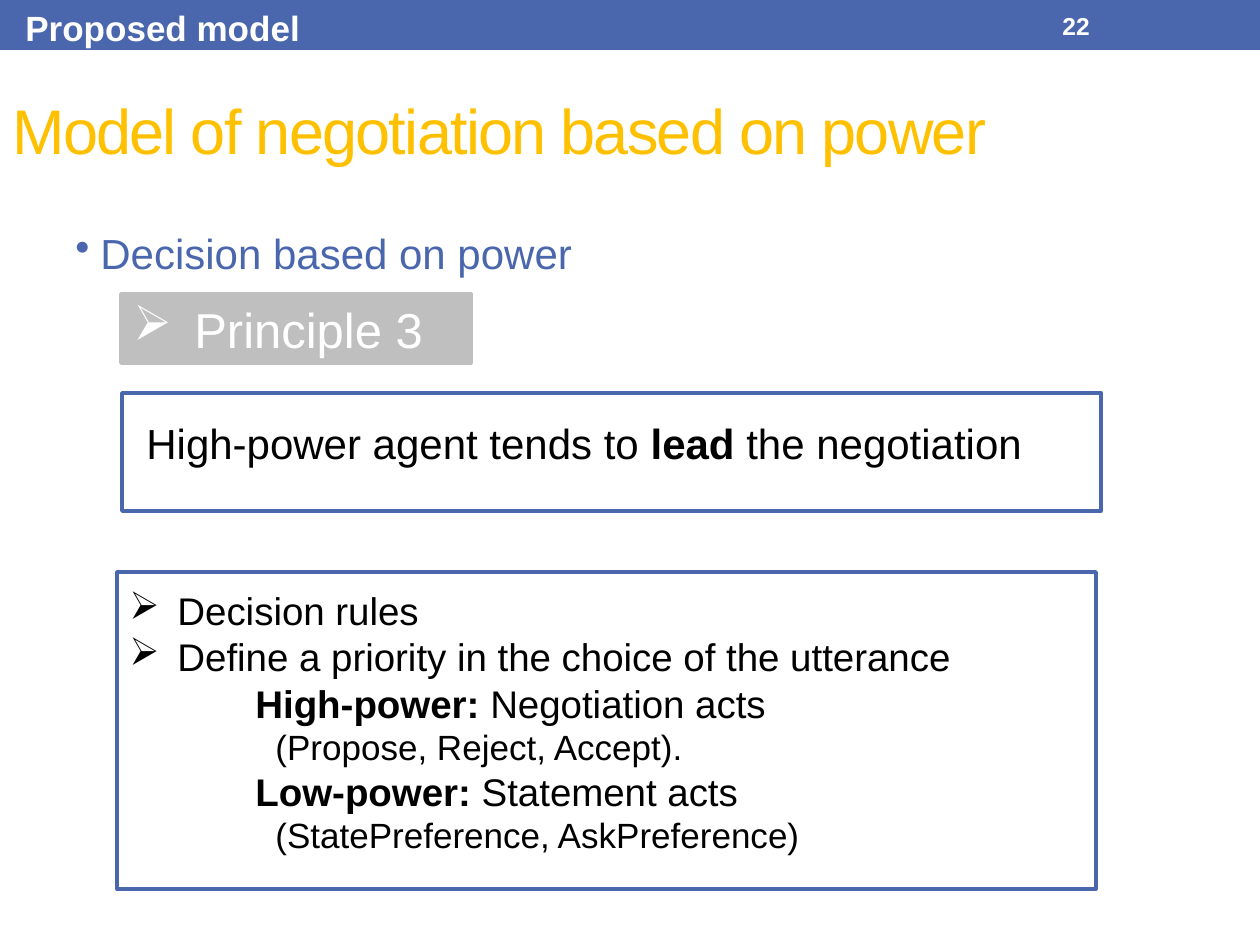
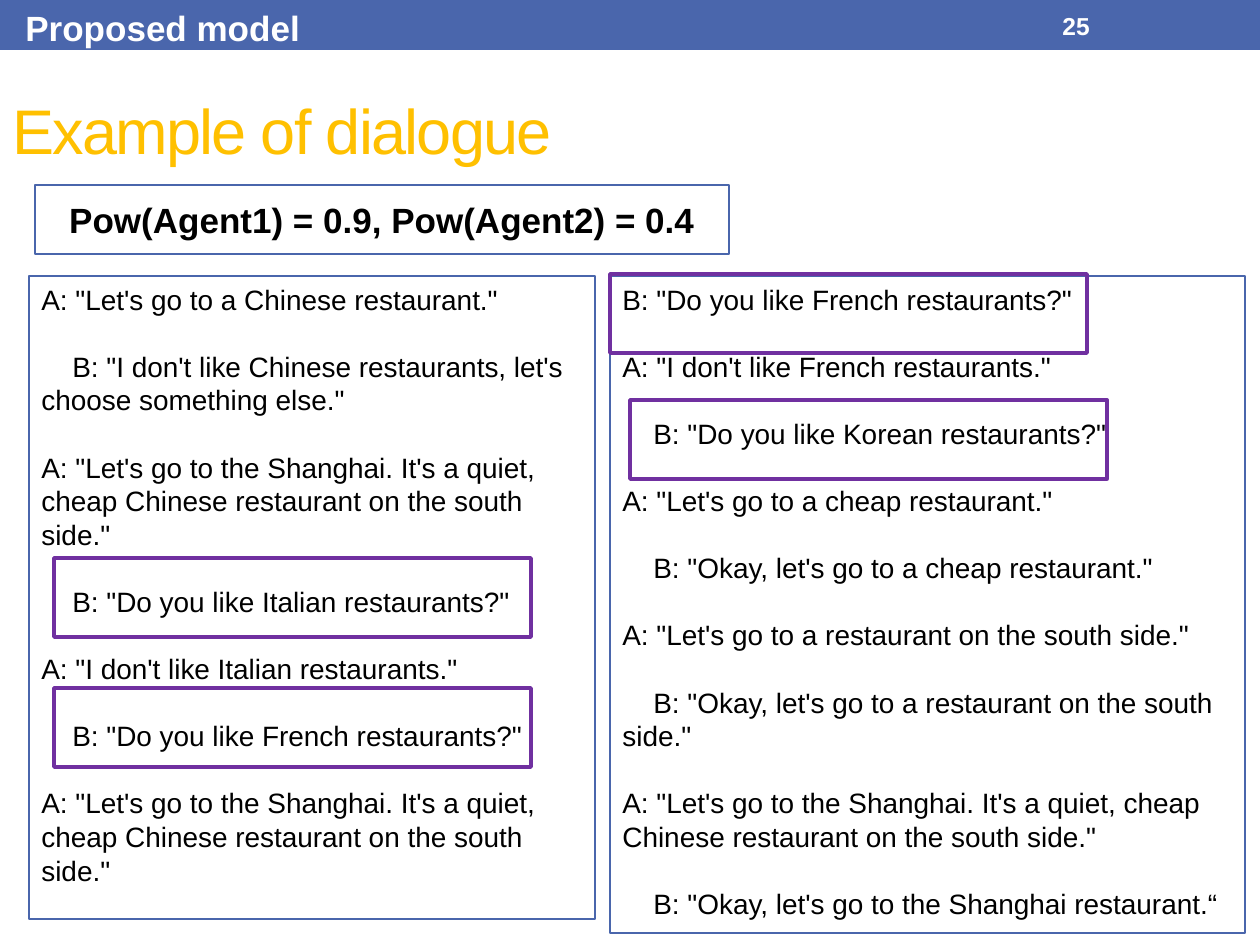
from dataclasses import dataclass

import lxml.etree
import pptx
import pptx.dml.color
import pptx.enum.shapes
import pptx.enum.text
import pptx.oxml.ns
import pptx.util


@dataclass(frozen=True)
class Theme:
    font: str = "Arial"
    blue: str = "4A66AC"
    gold: str = "FFC000"
    grey: str = "BFBFBF"
    purple: str = "7030A0"
    black: str = "000000"
    white: str = "FFFFFF"
    title: int = 36
    principle: int = 28
    lead: int = 24
    rule: int = 22
    label: int = 20
    dialogue: int = 16
    number: int = 14
    thin: float = 0.75
    thick: float = 2.08
    leading: float = 1.2


theme = Theme()
PX = 914400 / 126
MIDDLE = pptx.enum.text.MSO_ANCHOR.MIDDLE


def add_box(page, bounds, fill=None, line=None, width=theme.thick, anchor=None):
    """Add a rectangle, bounds in px, ready for left-aligned text."""
    box = page.shapes.add_shape(
        pptx.enum.shapes.MSO_SHAPE.RECTANGLE, *[round(v * PX) for v in bounds])
    box.shadow.inherit = False
    if fill:
        box.fill.solid()
        box.fill.fore_color.rgb = pptx.dml.color.RGBColor.from_string(fill)
    else:
        box.fill.background()
    if line:
        box.line.color.rgb = pptx.dml.color.RGBColor.from_string(line)
        box.line.width = pptx.util.Pt(width)
    else:
        box.line.fill.background()
    box.text_frame.word_wrap = True
    box.text_frame.vertical_anchor = anchor or pptx.enum.text.MSO_ANCHOR.TOP
    return box


def write(box, parts, size, color=theme.black, bullet=None, left=0, first=0,
          before=0, spacing=0):
    """Append a paragraph of (text, bold) parts; left and first are px."""
    frame = box.text_frame
    para = frame.paragraphs[0]
    if para.runs:
        para = frame.add_paragraph()
        para.space_before = pptx.util.Pt(before)
    para.alignment = pptx.enum.text.PP_ALIGN.LEFT
    para.line_spacing = pptx.util.Pt(size * theme.leading)
    props = para._p.get_or_add_pPr()
    props.set("marL", str(round(left * PX)))
    props.set("indent", str(round(first * PX)))
    if bullet:
        mark = lxml.etree.SubElement(props, pptx.oxml.ns.qn("a:buChar"))
        mark.set("char", bullet)
    for text, bold in parts:
        span = para.add_run()
        span.text = text
        span.font.name = theme.font
        span.font.size = pptx.util.Pt(size)
        span.font.bold = bold
        span.font.color.rgb = pptx.dml.color.RGBColor.from_string(color)
        if spacing:
            span._r.get_or_add_rPr().set("spc", str(spacing))
    return para


deck = pptx.Presentation()
deck.slide_width = round(1260 * PX)
deck.slide_height = round(945 * PX)

# Band, section label, page number and title of every slide
pages = []
for number, title in (("22", "Model of negotiation based on power"),
                      ("25", "Example of dialogue")):
    page = deck.slides.add_slide(deck.slide_layouts[6])
    add_box(page, (0, 0, 1260, 50), fill=theme.blue)
    section = add_box(page, (13, 0, 302, 55))
    write(section, [("Proposed model", True)], theme.label, theme.white)
    number_box = add_box(page, (1050, 3, 147, 45), anchor=MIDDLE)
    write(number_box, [(number, True)], theme.number, theme.white)
    title_box = add_box(page, (0, 50, 1235, 158), anchor=MIDDLE)
    write(title_box, [(title, False)], theme.title, theme.gold, spacing=-100)
    pages.append(page)
principle_page, dialogue_page = pages

# Principle and decision rules
topic = add_box(principle_page, (63, 221, 1134, 73))
write(topic, [("Decision based on power", False)], theme.lead, theme.blue,
      bullet="•", left=25, first=-25)
principle = add_box(principle_page, (121, 294, 350, 69), theme.grey, theme.grey,
                    anchor=MIDDLE)
write(principle, [("Principle 3", False)], theme.principle, theme.white,
      bullet="➢", left=61, first=-61)

add_box(principle_page, (122, 393, 979, 118), line=theme.blue)
statement = add_box(principle_page, (134, 411, 942, 63))
write(statement, [("High-power agent tends to ", False), ("lead", True),
                  (" the negotiation", False)], theme.lead)

add_box(principle_page, (117, 572, 979, 317), line=theme.blue)
rules = add_box(principle_page, (117, 581, 979, 285))
for text in ("Decision rules", "Define a priority in the choice of the utterance"):
    write(rules, [(text, False)], theme.rule, bullet="➢", left=48, first=-48)
for power, acts, examples in (
        ("High-power: ", "Negotiation acts", "(Propose, Reject, Accept)."),
        ("Low-power: ", "Statement acts", "(StatePreference, AskPreference)")):
    write(rules, [(power, True), (acts, False)], theme.rule, left=126)
    write(rules, [(examples, False)], theme.label, left=146)

# Dialogue in two columns
powers = add_box(dialogue_page, (35, 185, 694, 69), line=theme.blue,
                 width=theme.thin, anchor=MIDDLE)
para = write(powers, [("Pow(Agent1) = 0.9, Pow(Agent2) = 0.4", True)], theme.label)
para.alignment = pptx.enum.text.PP_ALIGN.CENTER

shanghai = ("A: \"Let's go to the Shanghai. It's a quiet, cheap Chinese restaurant "
            "on the south side.\"")
columns = (
    ((29, 276, 566, 643), (
        "A: \"Let's go to a Chinese restaurant.\"",
        "B: \"I don't like Chinese restaurants, let's choose something else.\"",
        shanghai,
        "B: \"Do you like Italian restaurants?\"",
        "A: \"I don't like Italian restaurants.\"",
        "B: \"Do you like French restaurants?\"",
        shanghai)),
    ((610, 276, 635, 657), (
        "B: \"Do you like French restaurants?\"",
        "A: \"I don't like French restaurants.\"",
        "B: \"Do you like Korean restaurants?\"",
        "A: \"Let's go to a cheap restaurant.\"",
        "B: \"Okay, let's go to a cheap restaurant.\"",
        "A: \"Let's go to a restaurant on the south side.\"",
        "B: \"Okay, let's go to a restaurant on the south side.\"",
        shanghai,
        "B: \"Okay, let's go to the Shanghai restaurant.“")),
)
for bounds, turns in columns:
    column = add_box(dialogue_page, bounds, line=theme.blue, width=theme.thin)
    for index, turn in enumerate(turns):
        reply = index > 0 and turn.startswith("B")
        write(column, [(turn, False)], theme.dialogue, first=31 if reply else 0,
              before=theme.dialogue * theme.leading)

# Highlighted questions
for left, top in ((54, 558), (54, 688), (630, 400), (610, 274)):
    add_box(dialogue_page, (left, top, 477, 79), line=theme.purple)

deck.save("out.pptx")
